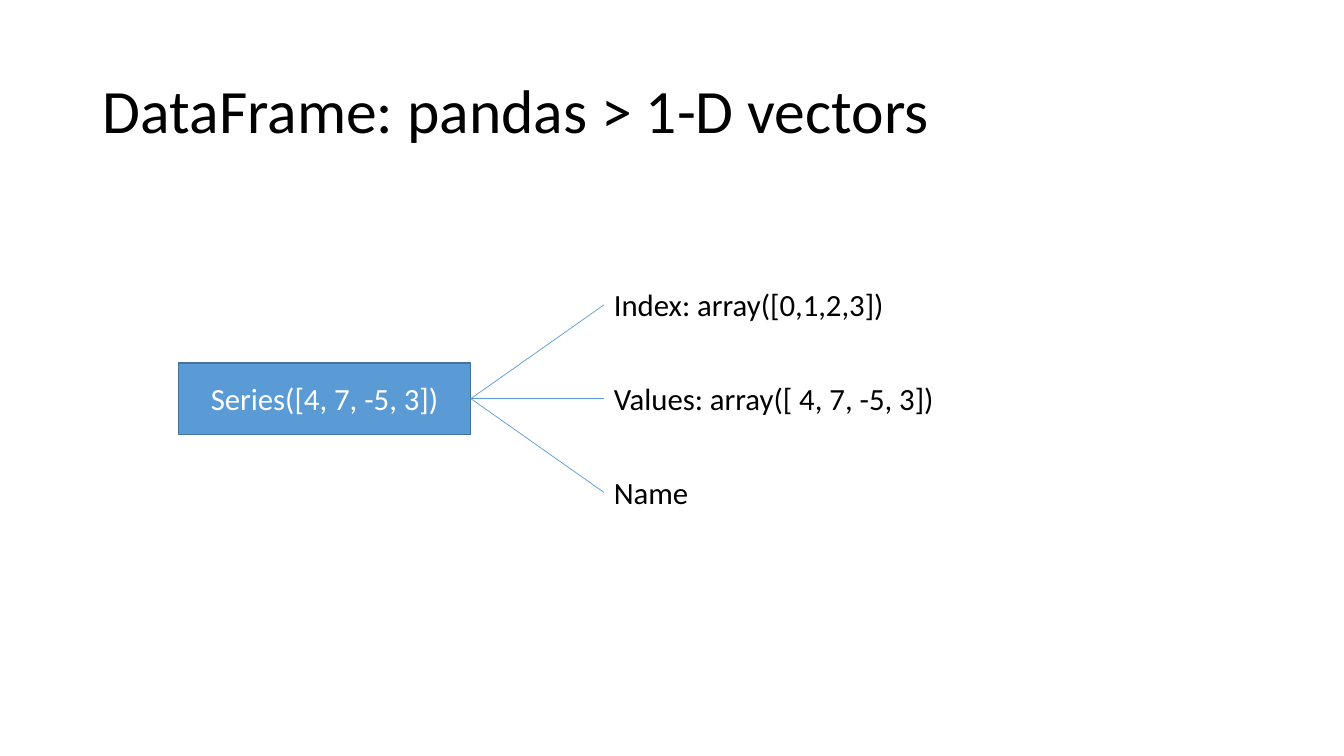
from lxml.etree import SubElement
from pptx import Presentation
from pptx.dml.color import RGBColor
from pptx.enum.shapes import MSO_CONNECTOR, MSO_SHAPE
from pptx.enum.text import MSO_ANCHOR, MSO_AUTO_SIZE, PP_ALIGN
from pptx.oxml.ns import qn
from pptx.util import Inches, Pt

FONT = "Calibri"
BLACK, WHITE, BLUE, DARK_BLUE = "000000", "FFFFFF", "5B9BD5", "43739E"

# Parts of the Series: text and box width
PARTS = [
    ("Index: array([0,1,2,3])", 3.7),
    ("Values: array([ 4, 7, -5, 3])", 5.19),
    ("Name", 3.7),
]
PARTS_LEFT, PARTS_TOP, PARTS_STEP = 5.99, 2.79, 0.93


def color(hex_code):
    return RGBColor.from_string(hex_code)


def add_text(frame, text, size, hex_code, align=PP_ALIGN.LEFT):
    para = frame.paragraphs[0]
    para.alignment = align
    span = para.add_run()
    span.text = text
    span.font.name = FONT
    span.font.size = Pt(size)
    span.font.color.rgb = color(hex_code)
    return para


def set_title(page, text):
    title = page.shapes.title
    title.left, title.top = Inches(0.92), Inches(0.4)
    title.width, title.height = Inches(11.5), Inches(1.45)
    frame = title.text_frame
    frame.vertical_anchor = MSO_ANCHOR.MIDDLE
    frame.word_wrap = True
    add_text(frame, text, 44, BLACK).line_spacing = 0.9


def add_series(page, text):
    box = page.shapes.add_shape(MSO_SHAPE.RECTANGLE, Inches(1.77), Inches(3.6),
                                Inches(2.9), Inches(0.71))
    box.shadow.inherit = False
    box.fill.solid()
    box.fill.fore_color.rgb = color(BLUE)
    box.line.color.rgb = color(DARK_BLUE)
    box.line.width = Pt(1)
    box.text_frame.vertical_anchor = MSO_ANCHOR.MIDDLE
    add_text(box.text_frame, text, 22, WHITE, PP_ALIGN.CENTER)
    return box


def add_label(page, text, top, width):
    box = page.shapes.add_textbox(Inches(PARTS_LEFT), Inches(top),
                                  Inches(width), Inches(0.47))
    box.text_frame.word_wrap = True
    box.text_frame.auto_size = MSO_AUTO_SIZE.SHAPE_TO_FIT_TEXT
    add_text(box.text_frame, text, 22, BLACK)
    return box


def join(page, source, target):
    """Draw a line from the right side of source to the left side of target."""
    line = page.shapes.add_connector(MSO_CONNECTOR.STRAIGHT, 0, 0, 0, 0)
    line.begin_connect(source, 3)
    line.end_connect(target, 1)
    line.line.color.rgb = color(BLUE)
    line.line.width = Pt(0.5)
    SubElement(line._element.spPr, qn("a:effectLst"))


def main():
    deck = Presentation()
    deck.slide_width, deck.slide_height = Inches(13.33), Inches(7.5)
    page = deck.slides.add_slide(deck.slide_layouts[5])

    # Title
    set_title(page, "DataFrame: pandas > 1-D vectors")

    # Series and its parts
    series = add_series(page, "Series([4, 7, -5, 3])")
    for index, (text, width) in enumerate(PARTS):
        label = add_label(page, text, PARTS_TOP + index * PARTS_STEP, width)
        join(page, series, label)

    deck.save("out.pptx")


if __name__ == "__main__":
    main()
